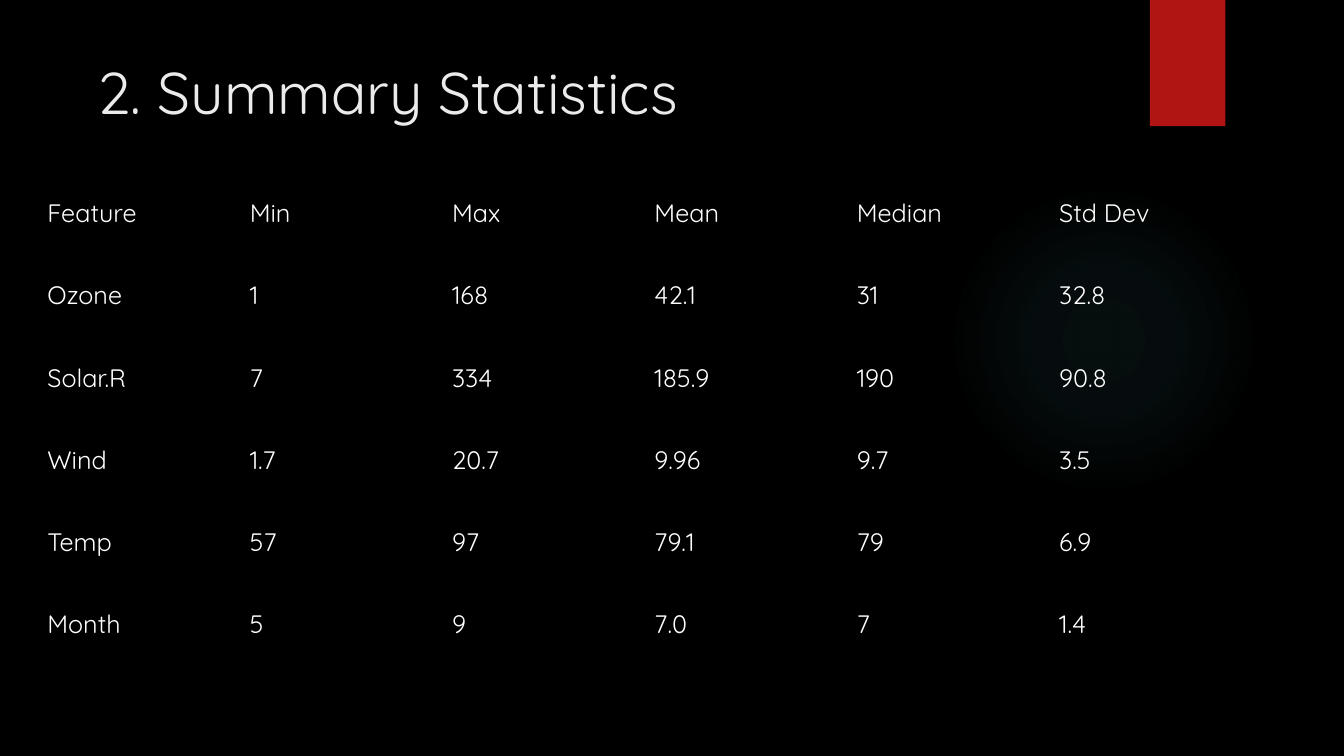
from dataclasses import dataclass

from lxml import etree
from pptx import Presentation
from pptx.dml.color import RGBColor
from pptx.enum.shapes import MSO_SHAPE
from pptx.enum.text import MSO_ANCHOR, PP_ALIGN
from pptx.oxml import parse_xml
from pptx.oxml.ns import qn
from pptx.shapes.autoshape import Shape
from pptx.slide import Slide
from pptx.text.text import TextFrame
from pptx.util import Cm, Pt

OVAL, RECTANGLE = MSO_SHAPE.OVAL, MSO_SHAPE.RECTANGLE
TOP, MIDDLE = MSO_ANCHOR.TOP, MSO_ANCHOR.MIDDLE
LEFT = PP_ALIGN.LEFT
TITLE_ONLY = 5
PLAIN_TABLE = "{2D5ABB26-0587-4C30-8999-92F81FD0307C}"


@dataclass(frozen=True)
class Theme:
    font: str = "Quicksand"
    background: str = "000000"
    heading: str = "EBEBEB"
    body: str = "FFFFFF"
    ribbon: str = "B01513"
    glow: str = "50B9C1"
    heading_size: int = 42
    body_size: int = 18


@dataclass(frozen=True)
class Box:
    left: float
    top: float
    width: float
    height: float

    def lengths(self) -> tuple[Cm, Cm, Cm, Cm]:
        return Cm(self.left), Cm(self.top), Cm(self.width), Cm(self.height)


@dataclass(frozen=True)
class GlowStop:
    position: int
    opacity: int


@dataclass(frozen=True)
class Summary:
    feature: str
    minimum: str
    maximum: str
    mean: str
    median: str
    deviation: str

    def values(self) -> tuple[str, ...]:
        return (self.feature, self.minimum, self.maximum,
                self.mean, self.median, self.deviation)


THEME = Theme()
GLOW = Box(23.9, 4.65, 7.82, 7.82)
RIBBON = Box(28.98, 0, 1.9, 3.18)
HEADING = Box(1.8, 1.27, 26.14, 3.89)
STATISTICS = Box(0.94, 4.34, 30.6, 12.42)
GLOW_STOPS = [GlowStop(0, 7), GlowStop(36, 6), GlowStop(69, 0)]
SUMMARIES = [
    Summary("Feature", "Min", "Max", "Mean", "Median", "Std Dev"),
    Summary("Ozone", "1", "168", "42.1", "31", "32.8"),
    Summary("Solar.R", "7", "334", "185.9", "190", "90.8"),
    Summary("Wind", "1.7", "20.7", "9.96", "9.7", "3.5"),
    Summary("Temp", "57", "97", "79.1", "79", "6.9"),
    Summary("Month", "5", "9", "7.0", "7", "1.4"),
]


def write(frame: TextFrame, text: str, *, size: int, color: str) -> None:
    paragraph = frame.paragraphs[0]
    paragraph.alignment = LEFT
    run = paragraph.add_run()
    run.text = text
    run.font.name = THEME.font
    run.font.size = Pt(size)
    run.font.bold = False
    run.font.color.rgb = RGBColor.from_string(color)


def add_block(slide: Slide, preset: int, box: Box, color: str) -> Shape:
    block = slide.shapes.add_shape(preset, *box.lengths())
    block.shadow.inherit = False
    block.fill.solid()
    block.fill.fore_color.rgb = RGBColor.from_string(color)
    block.line.fill.background()
    return block


def fade_from_centre(block: Shape, color: str, stops: list[GlowStop]) -> None:
    stop_list = "".join(
        f'<a:gs pos="{stop.position * 1000}"><a:srgbClr val="{color}">'
        f'<a:alpha val="{stop.opacity * 1000}"/></a:srgbClr></a:gs>'
        for stop in stops
    )
    gradient = parse_xml(
        '<a:gradFill xmlns:a="http://schemas.openxmlformats.org/drawingml/2006/main">'
        f'<a:gsLst>{stop_list}</a:gsLst><a:path path="circle">'
        '<a:fillToRect l="50000" t="50000" r="50000" b="50000"/>'
        '</a:path></a:gradFill>'
    )
    properties = block._element.spPr
    properties.replace(properties.find(qn("a:solidFill")), gradient)


def add_heading(slide: Slide, text: str) -> None:
    heading = slide.shapes.title
    heading.left, heading.top, heading.width, heading.height = HEADING.lengths()
    heading.text_frame.vertical_anchor = TOP
    write(heading.text_frame, text, size=THEME.heading_size, color=THEME.heading)


def add_statistics(slide: Slide, summaries: list[Summary]) -> None:
    rows = [summary.values() for summary in summaries]
    statistics = slide.shapes.add_table(
        len(rows), len(rows[0]), *STATISTICS.lengths()).table
    statistics.horz_banding = False
    style = statistics._tbl.tblPr.find(qn("a:tableStyleId"))
    if style is None:
        style = etree.SubElement(statistics._tbl.tblPr, qn("a:tableStyleId"))
    style.text = PLAIN_TABLE
    for row_index, row in enumerate(rows):
        for column_index, value in enumerate(row):
            cell = statistics.cell(row_index, column_index)
            cell.fill.background()
            cell.vertical_anchor = MIDDLE
            write(cell.text_frame, value, size=THEME.body_size, color=THEME.body)


def main() -> None:
    presentation = Presentation()
    presentation.slide_width = Cm(33.87)
    presentation.slide_height = Cm(19.05)
    slide = presentation.slides.add_slide(presentation.slide_layouts[TITLE_ONLY])
    slide.background.fill.solid()
    slide.background.fill.fore_color.rgb = RGBColor.from_string(THEME.background)
    glow = add_block(slide, OVAL, GLOW, THEME.glow)
    fade_from_centre(glow, THEME.glow, GLOW_STOPS)
    add_block(slide, RECTANGLE, RIBBON, THEME.ribbon)
    add_heading(slide, " 2. Summary Statistics")
    add_statistics(slide, SUMMARIES)
    presentation.save("out.pptx")


if __name__ == "__main__":
    main()
